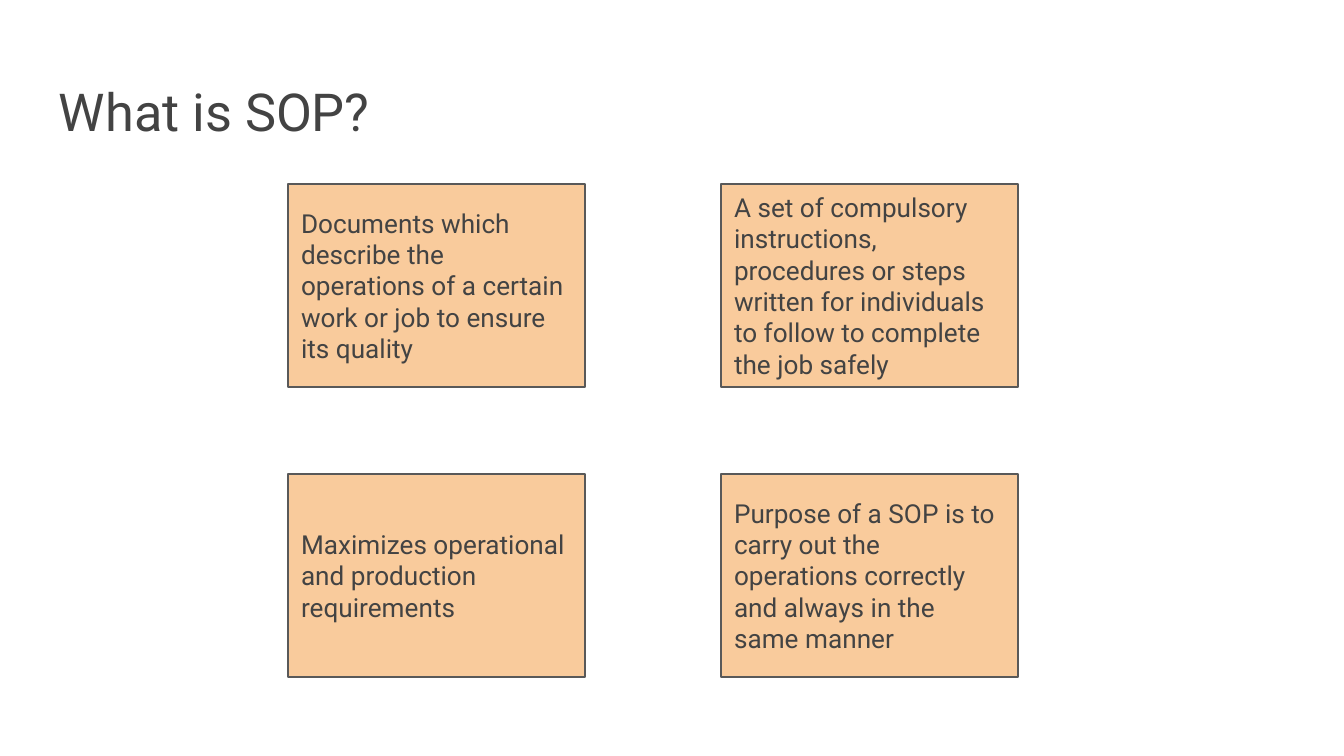
from pptx import Presentation
from pptx.dml.color import RGBColor
from pptx.enum.shapes import MSO_SHAPE
from pptx.enum.text import MSO_ANCHOR, PP_ALIGN
from pptx.util import Pt

TITLE = "What is SOP?"
CARDS = [
    [
        "Documents which describe the operations of a certain work or job to ensure its quality",
        "A set of compulsory instructions, procedures or steps written for individuals "
        "to follow to complete the job safely",
    ],
    [
        "Maximizes operational and production requirements",
        "Purpose of a SOP is to carry out the operations correctly and always in the same manner",
    ],
]

FONT = "Roboto"
INK = RGBColor(0x43, 0x43, 0x43)
PEACH = RGBColor(0xF9, 0xCB, 0x9C)
BORDER = RGBColor(0x59, 0x59, 0x59)
RECT = MSO_SHAPE.RECTANGLE
TOP, MIDDLE = MSO_ANCHOR.TOP, MSO_ANCHOR.MIDDLE
LEFT = PP_ALIGN.LEFT

SLIDE_W, SLIDE_H = 1344, 756
INSET = 13
TITLE_BOX = (46, 66, 1252, 85)
CARD_X, CARD_Y = 288, 184
CARD_W, CARD_H = 297, 203
STEP_X, STEP_Y = 433, 290


def px(n):
    return round(n * 914400 / 134.4)


def write(sp, text, size, anchor):
    tf = sp.text_frame
    tf.word_wrap = True
    tf.vertical_anchor = anchor
    tf.margin_left = tf.margin_top = tf.margin_right = tf.margin_bottom = px(INSET)
    tf.text = text
    p = tf.paragraphs[0]
    p.alignment = LEFT
    font = p.runs[0].font
    font.name = FONT
    font.size = Pt(size)
    font.color.rgb = INK


def add_card(s, x, y, text):
    sp = s.shapes.add_shape(RECT, px(x), px(y), px(CARD_W), px(CARD_H))
    sp.shadow.inherit = False
    sp.fill.solid()
    sp.fill.fore_color.rgb = PEACH
    sp.line.color.rgb = BORDER
    sp.line.width = Pt(0.75)
    write(sp, text, 14, MIDDLE)


def main():
    prs = Presentation()
    prs.slide_width, prs.slide_height = px(SLIDE_W), px(SLIDE_H)
    s = prs.slides.add_slide(prs.slide_layouts[6])
    title = s.shapes.add_textbox(*map(px, TITLE_BOX))
    write(title, TITLE, 28, TOP)
    for row, texts in enumerate(CARDS):
        for col, text in enumerate(texts):
            add_card(s, CARD_X + col * STEP_X, CARD_Y + row * STEP_Y, text)
    prs.save("out.pptx")


if __name__ == "__main__":
    main()
